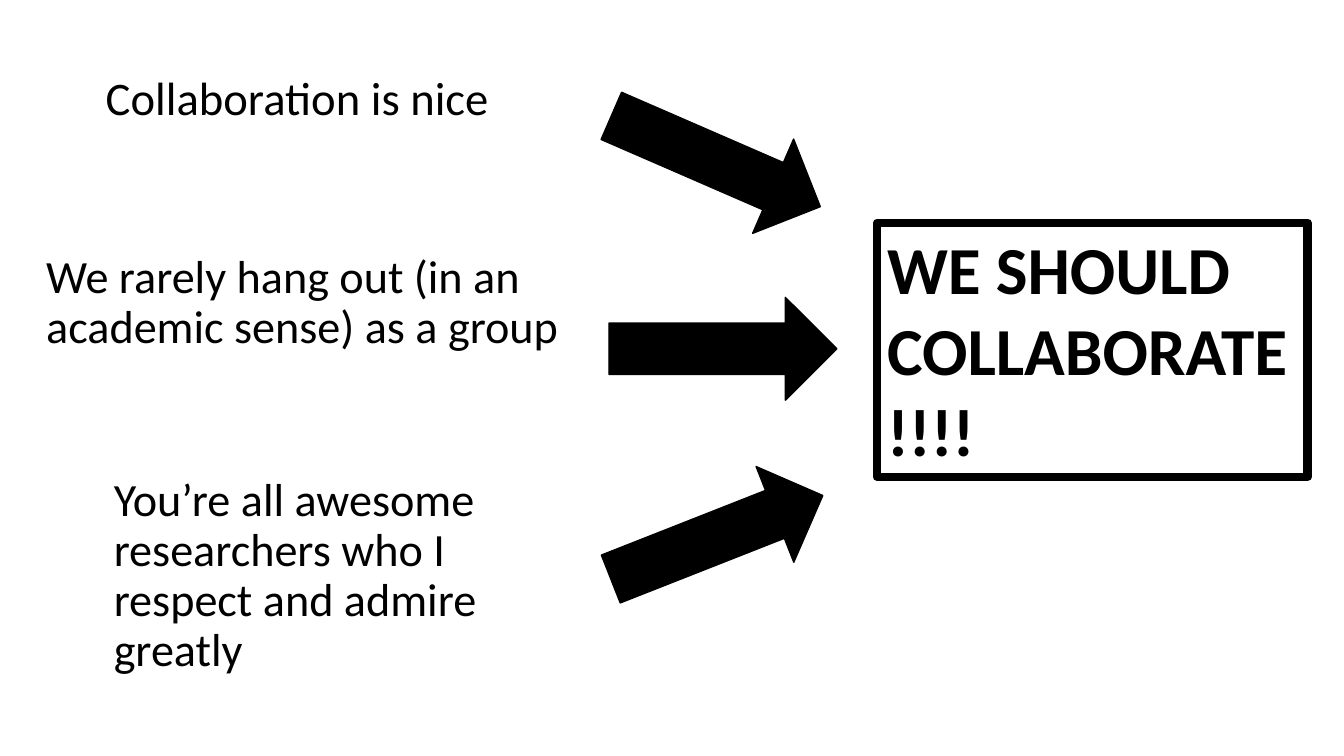
"""Build a slide where three reasons point to one conclusion."""
from pptx import Presentation
from pptx.dml.color import RGBColor
from pptx.enum.shapes import MSO_SHAPE as Shape
from pptx.enum.text import MSO_ANCHOR as Anchor, PP_ALIGN as Align
from pptx.util import Inches, Pt

BLACK, WHITE = "000000", "FFFFFF"
REASONS = [
    ("Collaboration is nice", 33.3, (0.95, 0.7, 4.04, 1.06)),
    ("We rarely hang out (in an academic sense) as a group", 33, (0.36, 2.47, 5.9, 1.5)),
    ("You’re all awesome researchers who I respect and admire greatly", 33,
     (1.03, 4.68, 4.18, 1.3)),
]
ARROW_SIZE = (2.26, 1.02)
ARROWS = [(6.04, 2.95, 0), (5.97, 1.09, 23.5), (5.98, 4.82, -21.5)]
CONCLUSION = "WE SHOULD COLLABORATE!!!!"
CONCLUSION_PLACE = (8.7, 2.21, 4.27, 2.52)


def color(value):
    return RGBColor.from_string(value)


def write(box, text, size, bold=False):
    frame = box.text_frame
    frame.word_wrap = True
    para = frame.paragraphs[0]
    para.text = text
    para.alignment = Align.LEFT
    para.font.name = "Calibri"
    para.font.size = Pt(size)
    para.font.bold = bold
    para.font.color.rgb = color(BLACK)
    return para


def add_block(page, kind, place, fill, line_width):
    block = page.shapes.add_shape(kind, *map(Inches, place))
    block.shadow.inherit = False
    block.fill.solid()
    block.fill.fore_color.rgb = color(fill)
    block.line.color.rgb = color(BLACK)
    block.line.width = Pt(line_width)
    return block


def main():
    deck = Presentation()
    deck.slide_width, deck.slide_height = Inches(13.33), Inches(7.5)
    page = deck.slides.add_slide(deck.slide_layouts[6])

    for text, size, place in REASONS:
        box = page.shapes.add_textbox(*map(Inches, place))
        write(box, text, size).line_spacing = 0.9

    for left, top, angle in ARROWS:
        arrow = add_block(page, Shape.RIGHT_ARROW, (left, top, *ARROW_SIZE), BLACK, 1)
        arrow.rotation = angle

    conclusion = add_block(page, Shape.RECTANGLE, CONCLUSION_PLACE, WHITE, 6)
    conclusion.text_frame.vertical_anchor = Anchor.TOP
    write(conclusion, CONCLUSION, 48, bold=True)

    deck.save("out.pptx")


if __name__ == "__main__":
    main()
